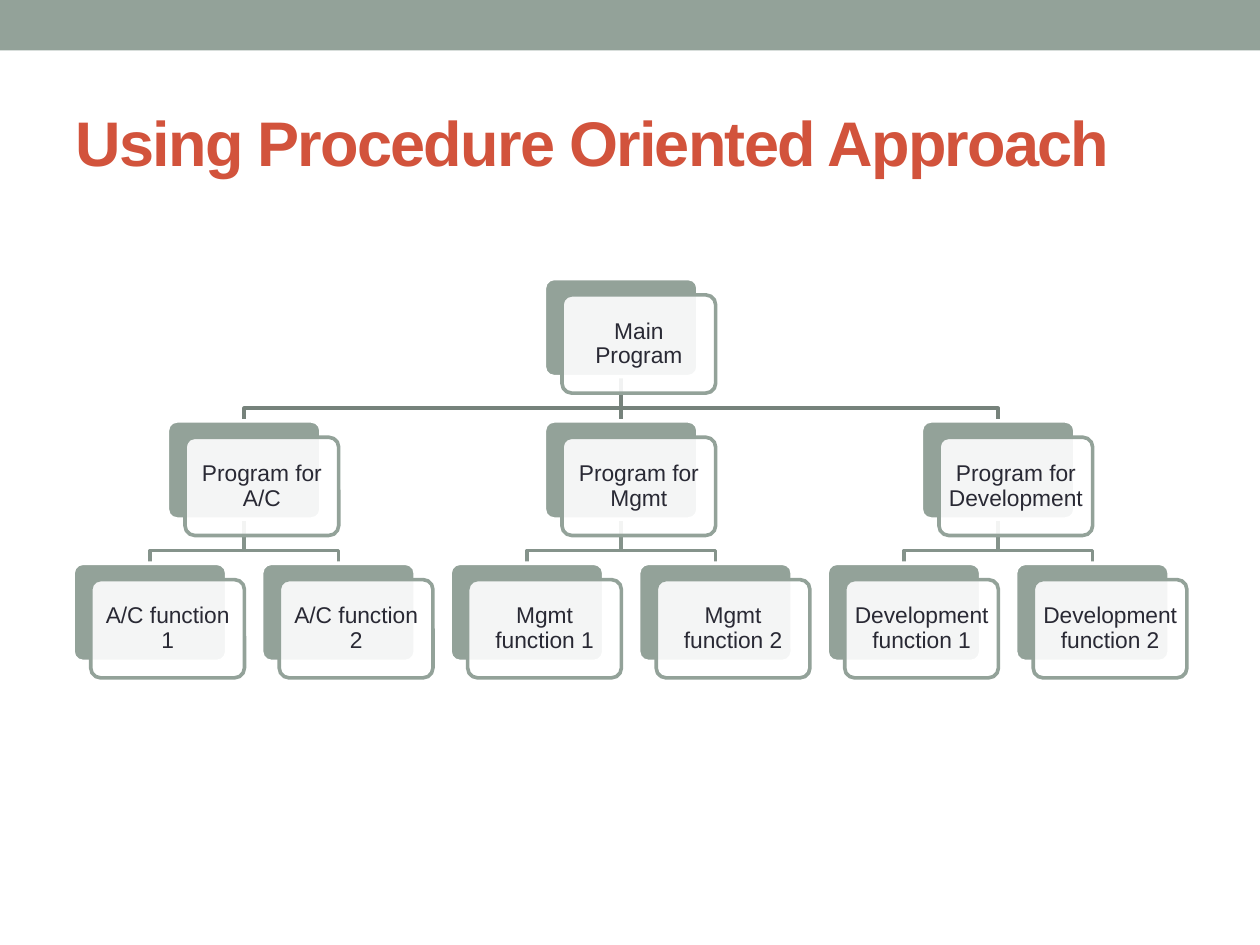
from dataclasses import dataclass

from lxml.etree import SubElement
from pptx import Presentation
from pptx.dml.color import RGBColor
from pptx.enum.shapes import MSO_CONNECTOR as Connector, MSO_SHAPE as Shape
from pptx.enum.text import MSO_ANCHOR as Anchor, MSO_AUTO_SIZE as AutoSize, PP_ALIGN as Align
from pptx.oxml.ns import qn
from pptx.util import Inches, Pt


@dataclass(frozen=True)
class Theme:
    font: str = "Arial"
    sage: str = "93A299"
    white: str = "FFFFFF"
    ink: str = "292934"
    title: str = "D2533C"
    upper_link: str = "76827B"
    lower_link: str = "85938B"
    title_size: float = 36
    card_size: float = 13
    line_width: float = 2.08


THEME = Theme()

# Tree grid, in inches
LEFT, TOP = 0.58, 2.21
COLUMN_STEP, ROW_STEP = 1.496, 1.13
CARD_WIDTH, CARD_HEIGHT = 1.22, 0.78
CARD_SHIFT_X, CARD_SHIFT_Y = 0.14, 0.13
BEND_DROP = 0.25

ROOT = "Main Program"
BRANCHES = {
    "Program for A/C": ("A/C function 1", "A/C function 2"),
    "Program for Mgmt": ("Mgmt function 1", "Mgmt function 2"),
    "Program for Development": ("Development function 1", "Development function 2"),
}


def color(code):
    return RGBColor.from_string(code)


def set_line(shape, code):
    shape.line.color.rgb = color(code)
    shape.line.width = Pt(THEME.line_width)


def format_text(para, size, code, bold=False):
    for span in para.runs:
        span.font.name = THEME.font
        span.font.size = Pt(size)
        span.font.bold = bold
        span.font.color.rgb = color(code)


def add_block(slide, kind, left, top, width, height, fill):
    block = slide.shapes.add_shape(kind, Inches(left), Inches(top), Inches(width), Inches(height))
    block.shadow.inherit = False
    block.fill.solid()
    block.fill.fore_color.rgb = color(fill)
    block.line.fill.background()
    return block


def add_title(slide, text):
    box = slide.shapes.title
    box.left, box.top, box.width, box.height = map(Inches, (0.5, 0.58, 9, 1.08))
    frame = box.text_frame
    frame.text = text
    frame.auto_size = AutoSize.NONE
    frame.vertical_anchor = Anchor.MIDDLE
    para = frame.paragraphs[0]
    para.alignment = Align.LEFT
    format_text(para, THEME.title_size, THEME.title, bold=True)
    para.runs[0].font._element.set("spc", "-100")


def add_node(slide, text, column, row):
    """Draw a plate with a translucent text card over it; return the plate."""
    left, top = LEFT + column * COLUMN_STEP, TOP + row * ROW_STEP
    plate, card = (
        add_block(slide, Shape.ROUNDED_RECTANGLE, left + x, top + y, CARD_WIDTH, CARD_HEIGHT, fill)
        for x, y, fill in ((0, 0, THEME.sage), (CARD_SHIFT_X, CARD_SHIFT_Y, THEME.white))
    )
    for shape, outline in ((plate, THEME.white), (card, THEME.sage)):
        shape.adjustments[0] = 0.1
        set_line(shape, outline)
    fill_color = card._element.spPr.find(qn("a:solidFill"))[0]
    SubElement(fill_color, qn("a:alpha")).set("val", "90000")

    frame = card.text_frame
    frame.text = text
    frame.word_wrap = True
    frame.vertical_anchor = Anchor.MIDDLE
    frame.margin_left = frame.margin_right = Inches(0.04)
    frame.margin_top = frame.margin_bottom = Inches(0.05)
    para = frame.paragraphs[0]
    para.alignment = Align.CENTER
    para.line_spacing = 0.9
    format_text(para, THEME.card_size, THEME.ink)
    return plate


def add_link(slide, parent, child, code):
    """Join two plates, straight or with a bend, behind the cards."""
    start_x, start_y = parent.left + parent.width // 2, parent.top + parent.height
    end_x, end_y = child.left + child.width // 2, child.top
    if abs(start_x - end_x) < Inches(0.01):
        link = slide.shapes.add_connector(Connector.STRAIGHT, start_x, start_y, end_x, end_y)
        link.begin_connect(parent, 2)
        link.end_connect(child, 0)
        SubElement(link._element.spPr, qn("a:effectLst"))
        set_line(link, code)
    else:
        bend_y = start_y + Inches(BEND_DROP)
        outline = slide.shapes.build_freeform(start_x, start_y)
        outline.add_line_segments([(start_x, bend_y), (end_x, bend_y), (end_x, end_y)], close=False)
        link = outline.convert_to_shape()
        link.shadow.inherit = False
        link.fill.background()
        set_line(link, code)
    # Index 2 is the first drawn element of the shape tree
    link._element.getparent().insert(2, link._element)


def add_tree(slide):
    root = add_node(slide, ROOT, 2.5, 0)
    for index, (branch, leaves) in enumerate(BRANCHES.items()):
        first = index * 2
        program = add_node(slide, branch, first + 0.5, 1)
        add_link(slide, root, program, THEME.upper_link)
        for offset, leaf in enumerate(leaves):
            function = add_node(slide, leaf, first + offset, 2)
            add_link(slide, program, function, THEME.lower_link)


def main():
    deck = Presentation()
    deck.slide_width, deck.slide_height = Inches(10), Inches(7.5)
    slide = deck.slides.add_slide(deck.slide_layouts[5])

    # Top band and heading
    add_block(slide, Shape.RECTANGLE, 0, 0, 10, 0.4, THEME.sage)
    add_title(slide, "Using Procedure Oriented Approach")

    # Program hierarchy
    add_tree(slide)

    deck.save("out.pptx")


if __name__ == "__main__":
    main()
